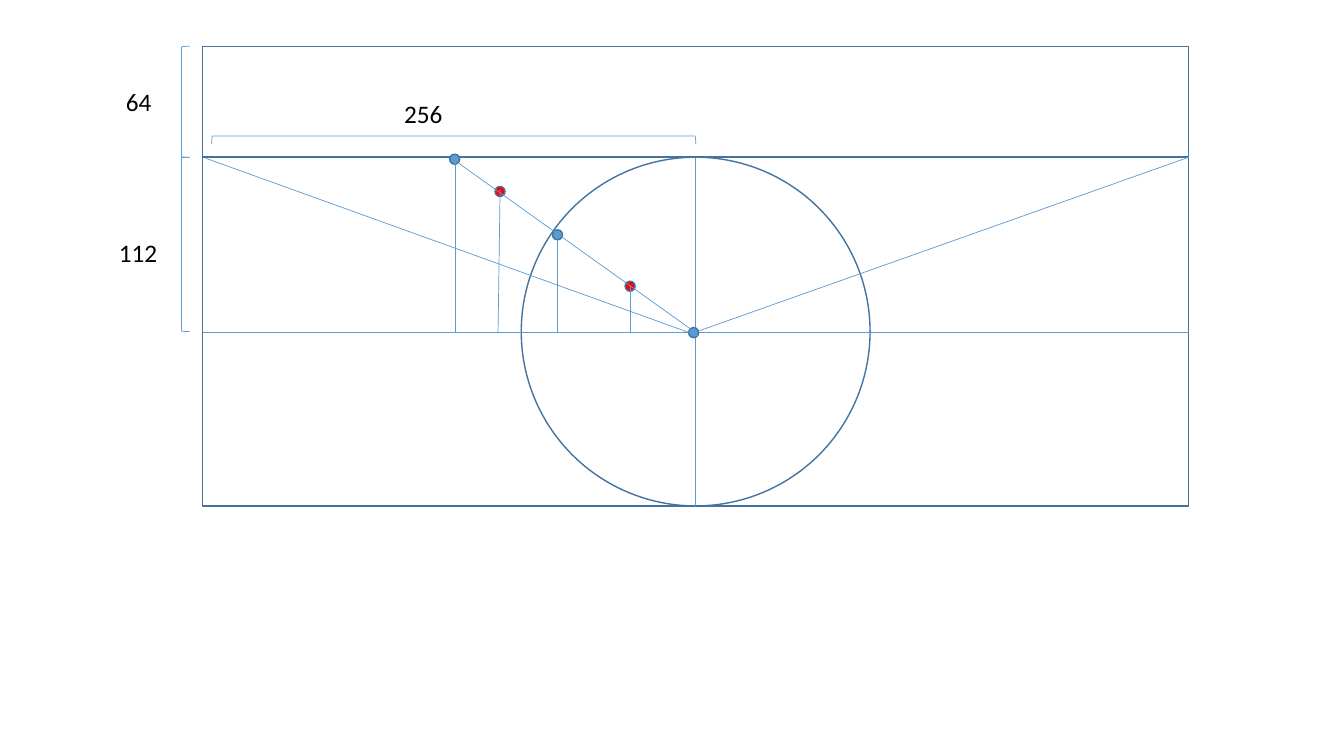
from dataclasses import dataclass

from lxml import etree
from pptx import Presentation
from pptx import util as u
from pptx.dml.color import RGBColor
from pptx.enum import shapes, text
from pptx.oxml.ns import qn

MSO = shapes.MSO_SHAPE


@dataclass(frozen=True)
class Theme:
    font: str = "Calibri"
    size: float = 18
    ink: str = "000000"
    blue: str = "5B9BD5"
    outline: str = "43739E"
    red: str = "FF0000"
    thin: float = 0.5
    medium: float = 1


def write(tf, content, *, font, size, color):
    p = tf.paragraphs[0]
    r = p.add_run()
    r.text = content
    r.font.name = font
    r.font.size = u.Pt(size)
    r.font.color.rgb = RGBColor.from_string(color)


class Diagram:
    def __init__(self, s, theme):
        self.s = s
        self.theme = theme

    def stroke(self, line, color, width):
        line.color.rgb = RGBColor.from_string(color)
        line.width = u.Pt(width)

    def shape(self, kind, x, y, w, h, fill=None, line=None, width=None):
        sp = self.s.shapes.add_shape(kind, *map(u.Inches, (x, y, w, h)))
        sp.shadow.inherit = False
        if fill:
            sp.fill.solid()
            sp.fill.fore_color.rgb = RGBColor.from_string(fill)
        else:
            sp.fill.background()
        self.stroke(sp.line, line or self.theme.outline, width or self.theme.medium)
        return sp

    def bracket(self, x, y, w, h, rotation=0):
        sp = self.shape(MSO.LEFT_BRACKET, x, y, w, h,
                        line=self.theme.blue, width=self.theme.thin)
        sp.rotation = rotation

    def dot(self, cx, cy, fill):
        d = 0.1
        self.shape(MSO.OVAL, cx - d / 2, cy - d / 2, d, d, fill=fill)

    def line(self, start, end):
        c = self.s.shapes.add_connector(
            shapes.MSO_CONNECTOR.STRAIGHT, *map(u.Inches, (*start, *end)))
        self.stroke(c.line, self.theme.blue, self.theme.thin)
        etree.SubElement(c._element.spPr, qn("a:effectLst"))

    def label(self, content, x, y, w):
        sp = self.s.shapes.add_textbox(*map(u.Inches, (x, y, w, 0.4)))
        tf = sp.text_frame
        tf.word_wrap = False
        tf.auto_size = text.MSO_AUTO_SIZE.SHAPE_TO_FIT_TEXT
        write(tf, content, font=self.theme.font, size=self.theme.size,
              color=self.theme.ink)


def main():
    prs = Presentation()
    prs.slide_width, prs.slide_height = u.Inches(13.33), u.Inches(7.5)
    theme = Theme()
    d = Diagram(prs.slides.add_slide(prs.slide_layouts[6]), theme)

    left, width = 2.01, 9.78
    right, cx = left + width, left + width / 2
    top, band, radius = 0.46, 1.1, 1.73
    mid = top + band
    cy, bottom = mid + radius + 0.01, mid + 2 * radius

    d.shape(MSO.RECTANGLE, left, mid, width, 2 * radius)
    d.shape(MSO.OVAL, cx - radius, mid, 2 * radius, 2 * radius)
    d.line((left, cy), (right, cy))
    d.line((cx, mid), (cx, bottom))
    d.shape(MSO.RECTANGLE, left, top, width, band)

    d.bracket(4.46, -1.01, 0.08, 4.8, rotation=90)
    d.bracket(1.8, mid, 0.08, radius)
    d.bracket(1.8, top, 0.08, band)
    for content, x, y, w in (("256", 3.91, 0.93, 0.59),
                             ("112", 1.08, 2.31, 0.59),
                             ("64", 1.15, 0.81, 0.46)):
        d.label(content, x, y, w)

    points = (
        (4.51, 1.58, theme.blue),
        (4.96, 1.9, theme.red),
        (5.53, 2.33, theme.blue),
        (6.25, 2.84, theme.red),
        (6.88, cy, theme.blue),
    )
    for point in points:
        d.dot(*point)

    d.line((cx, cy), (4.55, 1.62))
    for start, foot in (((4.52, 1.62), 4.52), ((4.96, 1.88), 4.94),
                        ((5.53, 2.38), 5.53), ((6.25, 2.84), 6.25)):
        d.line(start, (foot, cy))
    d.line((6.92, 3.33), (2.04, 1.57))
    d.line((6.94, 3.28), (right, mid))

    prs.save("out.pptx")


if __name__ == "__main__":
    main()
